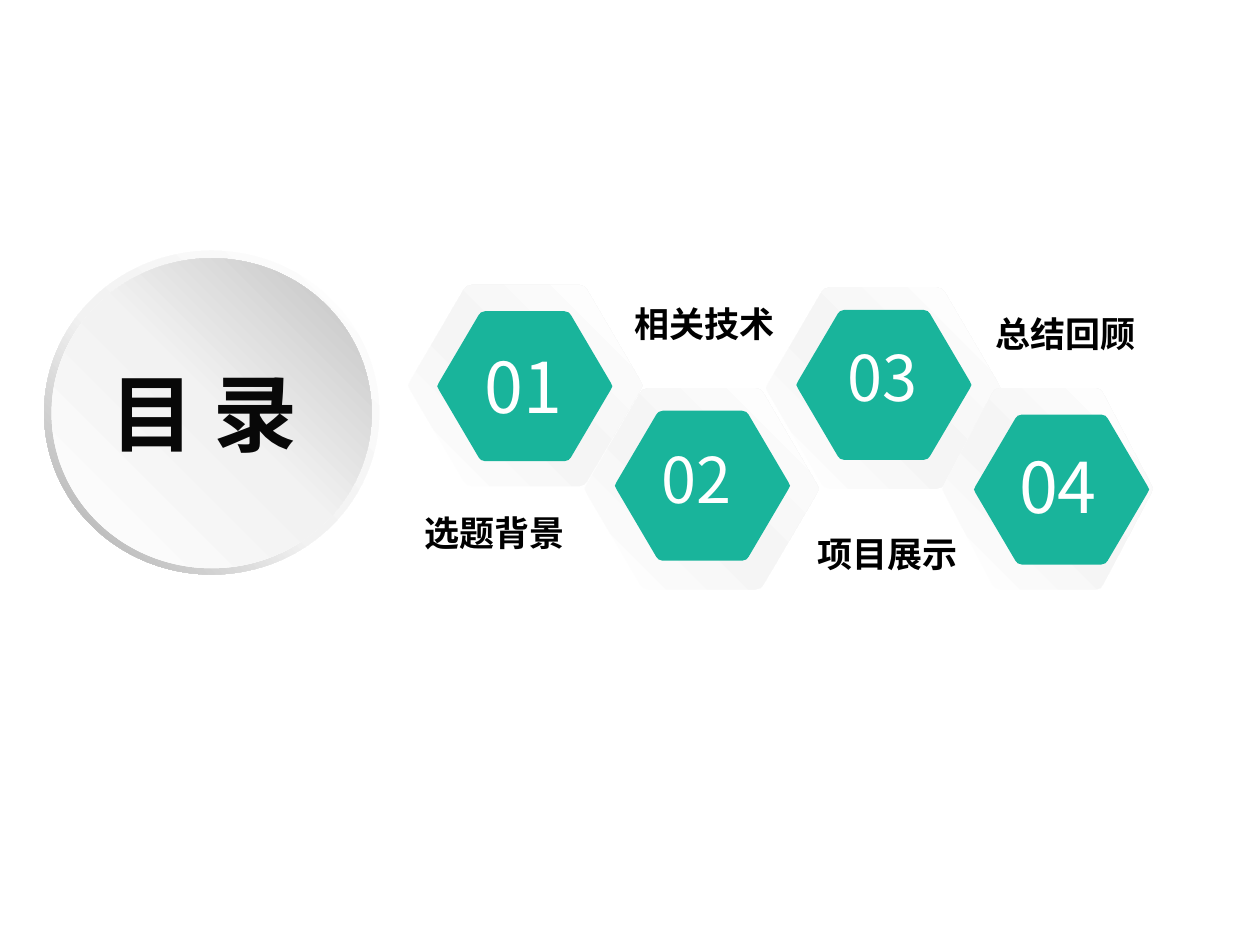
import copy

import pptx
import pptx.dml.color
import pptx.enum.shapes
import pptx.enum.text
import pptx.oxml.ns
import pptx.util
from pptx.util import Inches

RGBColor = pptx.dml.color.RGBColor
WHITE = RGBColor(0xFF, 0xFF, 0xFF)
BLACK = RGBColor(0, 0, 0)
INK = RGBColor(0x08, 0x08, 0x08)
GREEN = RGBColor(0x19, 0xB4, 0x9B)
PALE = RGBColor(0xF5, 0xF5, 0xF5)
LIGHT = RGBColor(0xF2, 0xF2, 0xF2)
SILVER = RGBColor(0xBF, 0xBF, 0xBF)
GREY = RGBColor(0xA6, 0xA6, 0xA6)
FONT = "Noto Sans CJK SC"

# One quarter of a round-cornered hexagon, in fractions of its box
QUARTER = [(1, 0.5), (0.99, 0.525), (0.763, 0.975), (0.75, 0.992), (0.727, 1)]
LOWER = QUARTER + [(1 - x, y) for x, y in reversed(QUARTER)]
HEXAGON = LOWER + [(1 - x, 1 - y) for x, y in LOWER[1:-1]]


def paint(shape, colours, middle=0.5, angle=45):
    """Fill with one colour, or with a three-stop gradient."""
    shape.shadow.inherit = False
    shape.line.fill.background()
    if len(colours) == 1:
        shape.fill.solid()
        shape.fill.fore_color.rgb = colours[0]
        return
    shape.fill.gradient()
    shape.fill.gradient_angle = angle
    stop_list = shape._element.spPr.find(".//" + pptx.oxml.ns.qn("a:gsLst"))
    stop_list.append(copy.deepcopy(stop_list[-1]))
    for stop, colour, position in zip(shape.fill.gradient_stops, colours, (0, middle, 1)):
        stop.color.rgb = colour
        stop.position = position


def write(box, place, text, size, colour, bold=False):
    box.left, box.top, box.width, box.height = [Inches(value) for value in place]
    frame = box.text_frame
    frame.word_wrap = True
    frame.auto_size = pptx.enum.text.MSO_AUTO_SIZE.SHAPE_TO_FIT_TEXT
    frame.vertical_anchor = pptx.enum.text.MSO_ANCHOR.TOP
    para = frame.paragraphs[0]
    para.alignment = pptx.enum.text.PP_ALIGN.LEFT
    span = para.add_run()
    span.text = text
    for name, value in {"name": FONT, "size": pptx.util.Pt(size), "bold": bold}.items():
        setattr(span.font, name, value)
    span.font.color.rgb = colour
    east_asian = pptx.oxml.parse_xml(
        f'<a:ea {pptx.oxml.ns.nsdecls("a")} typeface="{FONT}"/>')
    span._r.rPr.find(pptx.oxml.ns.qn("a:latin")).addnext(east_asian)


deck = pptx.Presentation()
deck.slide_width, deck.slide_height = Inches(10), Inches(7.5)
page = deck.slides.add_slide(deck.slide_layouts[5])
shapes = page.shapes

# Round title plate
ring = shapes.add_shape(pptx.enum.shapes.MSO_SHAPE.DONUT,
                        Inches(0.35), Inches(1.99), Inches(2.66), Inches(2.57))
ring.adjustments[0] = 0.049
paint(ring, [WHITE, LIGHT, GREY], middle=0.55, angle=225)
disc = shapes.add_shape(pptx.enum.shapes.MSO_SHAPE.OVAL,
                        Inches(0.41), Inches(2.05), Inches(2.54), Inches(2.46))
paint(disc, [WHITE, LIGHT, SILVER], middle=0.51)
title = shapes.title
write(title, (0.78, 2.82, 1.8, 0.91), "目 录", 48, INK, bold=True)
shapes._spTree.append(title._element)  # bring the title in front of the disc

# Numbered hexagons: white base, shaded panel, green core, number
items = [
    ("03", 36, (6.07, 2.27, 1.87), (6.08, 2.28, 1.86), (6.32, 2.46), (6.63, 2.64, 1, 0.71)),
    ("01", 40, (3.23, 2.25, 1.87), (3.24, 2.26, 1.86), (3.47, 2.47), (3.75, 2.68, 0.91, 0.77)),
    ("02", 36, (4.64, 3.08, 1.87), (4.64, 3.08, 1.86), (4.88, 3.26), (5.15, 3.45, 0.95, 0.71)),
    ("04", 40, (7.67, 3.07, 1.69), (7.48, 3.08, 1.67), (7.73, 3.29), (7.99, 3.47, 0.89, 0.77)),
]
for number, size, base, panel, core, number_place in items:
    layers = [((*base, 1.61), [WHITE]),
              ((*panel, 1.6), [WHITE, PALE, WHITE]),
              ((*core, 1.39, 1.19), [GREEN])]
    for (left, top, width, height), colours in layers:
        points = [(Inches(left + x * width), Inches(top + y * height)) for x, y in HEXAGON]
        builder = shapes.build_freeform(*points[0])
        builder.add_line_segments(points[1:], close=True)
        paint(builder.convert_to_shape(), colours, middle=0.47)
    write(shapes.add_textbox(0, 0, 0, 0), number_place, number, size, WHITE)

# Chapter names
for text, left, top in [("选题背景", 3.27, 4.01), ("相关技术", 4.94, 2.35),
                        ("项目展示", 6.39, 4.18), ("总结回顾", 7.8, 2.43)]:
    write(shapes.add_textbox(0, 0, 0, 0), (left, top, 1.5, 0.44), text, 20, BLACK, bold=True)

deck.save("out.pptx")
